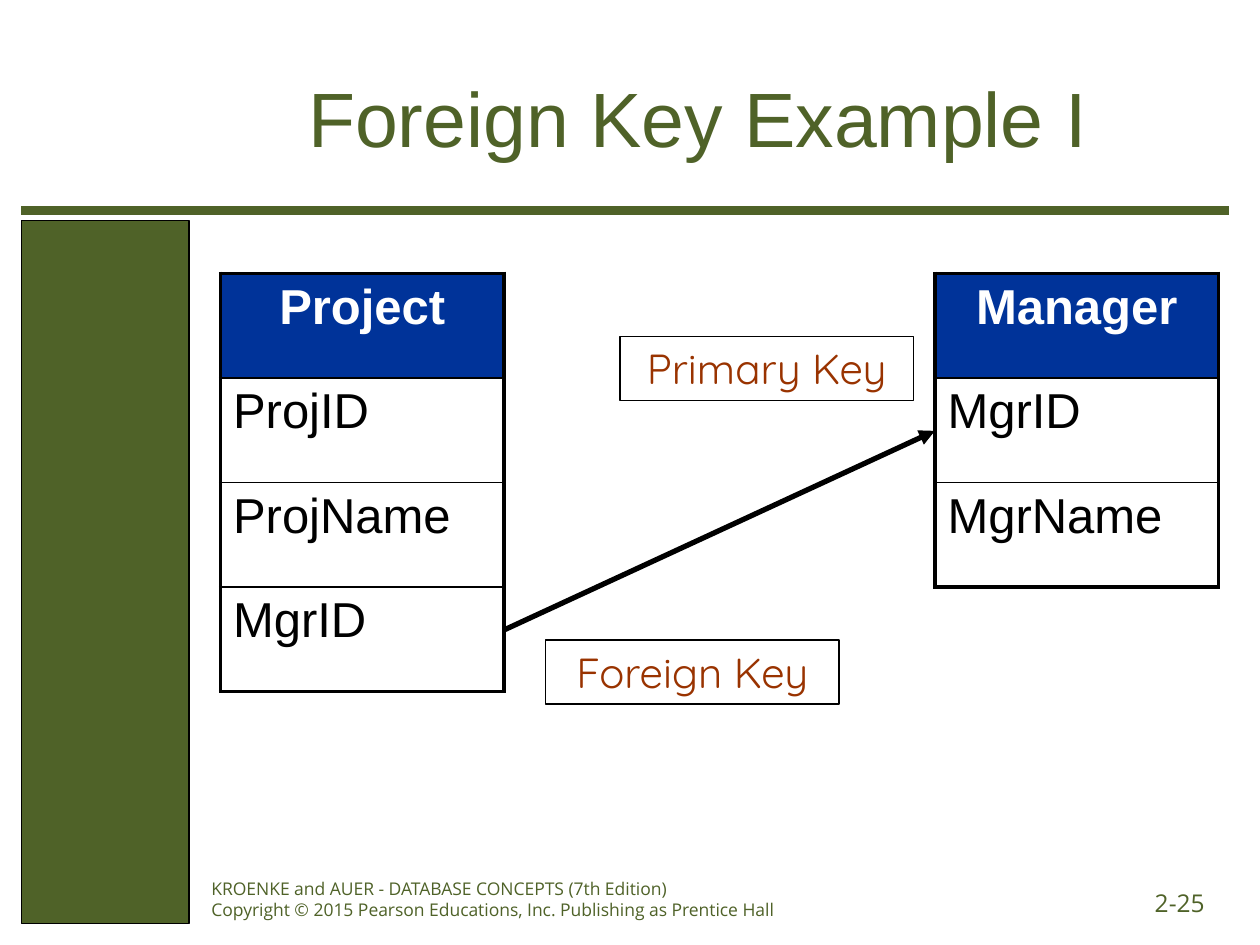
from dataclasses import dataclass
from typing import Optional

from lxml import etree
from pptx import Presentation
from pptx import util as u
from pptx.dml.color import RGBColor
from pptx.enum import shapes, text
from pptx.oxml import ns

OLIVE = RGBColor(0x4F, 0x62, 0x28)
NAVY = RGBColor(0x00, 0x33, 0x99)
RUST = RGBColor(0x99, 0x33, 0x00)
BLACK = RGBColor(0x00, 0x00, 0x00)
WHITE = RGBColor(0xFF, 0xFF, 0xFF)

COLUMN_WIDTH = 2.25
ROW_HEIGHT = 0.83
OUTER_BORDER = 2.25
INNER_BORDER = 1


@dataclass(frozen=True)
class Entity:
    left: float
    top: float
    name: str
    fields: tuple[str, ...]


@dataclass(frozen=True)
class KeyLabel:
    left: float
    top: float
    caption: str


ENTITIES = (
    Entity(1.75, 2.17, "Project", ("ProjID", "ProjName", "MgrID")),
    Entity(7.42, 2.17, "Manager", ("MgrID", "MgrName")),
)
KEY_LABELS = (
    KeyLabel(4.33, 5.08, "Foreign Key"),
    KeyLabel(4.92, 2.67, "Primary Key"),
)


def write(frame, content: str, *, size: float, font: str, color: RGBColor,
          bold: bool = False, align=text.PP_ALIGN.LEFT,
          anchor=text.MSO_ANCHOR.TOP) -> None:
    frame.word_wrap = True
    frame.vertical_anchor = anchor
    para = frame.paragraphs[0]
    para.text = content
    para.alignment = align
    for span in para.runs:
        span.font.size = u.Pt(size)
        span.font.name = font
        span.font.bold = bold
        span.font.color.rgb = color


def add_rectangle(page, left: float, top: float, width: float, height: float,
                  line_width: float, fill: Optional[RGBColor] = None):
    box = page.shapes.add_shape(
        shapes.MSO_SHAPE.RECTANGLE, u.Inches(left), u.Inches(top),
        u.Inches(width), u.Inches(height))
    box.shadow.inherit = False
    if fill is None:
        box.fill.background()
    else:
        box.fill.solid()
        box.fill.fore_color.rgb = fill
    box.line.color.rgb = BLACK
    box.line.width = u.Pt(line_width)
    return box


def add_line(page, start: tuple[float, float], end: tuple[float, float],
             color: RGBColor, width: float, arrow: bool = False) -> None:
    line = page.shapes.add_connector(
        shapes.MSO_CONNECTOR.STRAIGHT,
        *(u.Inches(value) for value in start + end))
    line.line.color.rgb = color
    line.line.width = u.Pt(width)
    if arrow:
        etree.SubElement(line.line._get_or_add_ln(), ns.qn("a:tailEnd"), type="triangle")
    etree.SubElement(line._element.spPr, ns.qn("a:effectLst"))


def add_textbox(page, left: float, top: float, width: float, height: float,
                content: str, **style) -> None:
    box = page.shapes.add_textbox(
        u.Inches(left), u.Inches(top), u.Inches(width), u.Inches(height))
    write(box.text_frame, content, font="Open Sans", color=OLIVE, **style)


def set_borders(cell, top: float, bottom: float) -> None:
    properties = cell._tc.get_or_add_tcPr()
    widths = {"lnL": OUTER_BORDER, "lnR": OUTER_BORDER, "lnT": top, "lnB": bottom}
    for position, (tag, width) in enumerate(widths.items()):
        border = etree.Element(ns.qn(f"a:{tag}"), w=str(u.Pt(width)))
        fill = etree.SubElement(border, ns.qn("a:solidFill"))
        etree.SubElement(fill, ns.qn("a:srgbClr"), val=str(BLACK))
        properties.insert(position, border)


def add_entity(page, entity: Entity) -> None:
    rows = (entity.name, *entity.fields)
    table = page.shapes.add_table(
        len(rows), 1, u.Inches(entity.left), u.Inches(entity.top),
        u.Inches(COLUMN_WIDTH), u.Inches(ROW_HEIGHT * len(rows))).table
    table.horz_banding = False
    for index, content in enumerate(rows):
        table.rows[index].height = u.Inches(ROW_HEIGHT)
        cell = table.cell(index, 0)
        header = index == 0
        if header:
            cell.fill.solid()
            cell.fill.fore_color.rgb = NAVY
        else:
            cell.fill.background()
        write(cell.text_frame, content, size=28, font="Arial",
              color=WHITE if header else BLACK, bold=header,
              align=text.PP_ALIGN.CENTER if header else text.PP_ALIGN.LEFT)
        set_borders(cell, OUTER_BORDER if header else INNER_BORDER,
                    OUTER_BORDER if index == len(rows) - 1 else INNER_BORDER)


def add_key_label(page, label: KeyLabel) -> None:
    box = add_rectangle(page, label.left, label.top, 2.33, 0.51, line_width=1)
    write(box.text_frame, label.caption, size=24, font="Quicksand", color=RUST,
          align=text.PP_ALIGN.CENTER)


def main() -> None:
    deck = Presentation()
    deck.slide_width, deck.slide_height = u.Inches(10), u.Inches(7.5)
    page = deck.slides.add_slide(deck.slide_layouts.get_by_name("Title Only"))

    title = page.shapes.title
    title.left, title.top = u.Inches(1.58), u.Inches(0.3)
    title.width, title.height = u.Inches(7.92), u.Inches(1.25)
    write(title.text_frame, "Foreign Key Example I", size=44, font="Arial",
          color=OLIVE, align=text.PP_ALIGN.CENTER, anchor=text.MSO_ANCHOR.MIDDLE)

    add_rectangle(page, 0.17, 1.75, 1.33, 5.58, line_width=0.75, fill=OLIVE)
    add_line(page, (0.17, 1.67), (9.75, 1.67), OLIVE, 5)
    add_textbox(page, 8.58, 7, 1.08, 0.35, "2-25", size=14,
                align=text.PP_ALIGN.RIGHT)
    for entity in ENTITIES:
        add_entity(page, entity)
    add_line(page, (4, 5), (7.42, 3.42), BLACK, 3, arrow=True)
    for label in KEY_LABELS:
        add_key_label(page, label)
    add_textbox(page, 1.58, 6.92, 5.67, 0.44,
                "KROENKE and AUER - DATABASE CONCEPTS (7th Edition)\v"
                "Copyright © 2015 Pearson Educations, Inc. Publishing as Prentice Hall",
                size=10)

    deck.save("out.pptx")


if __name__ == "__main__":
    main()
